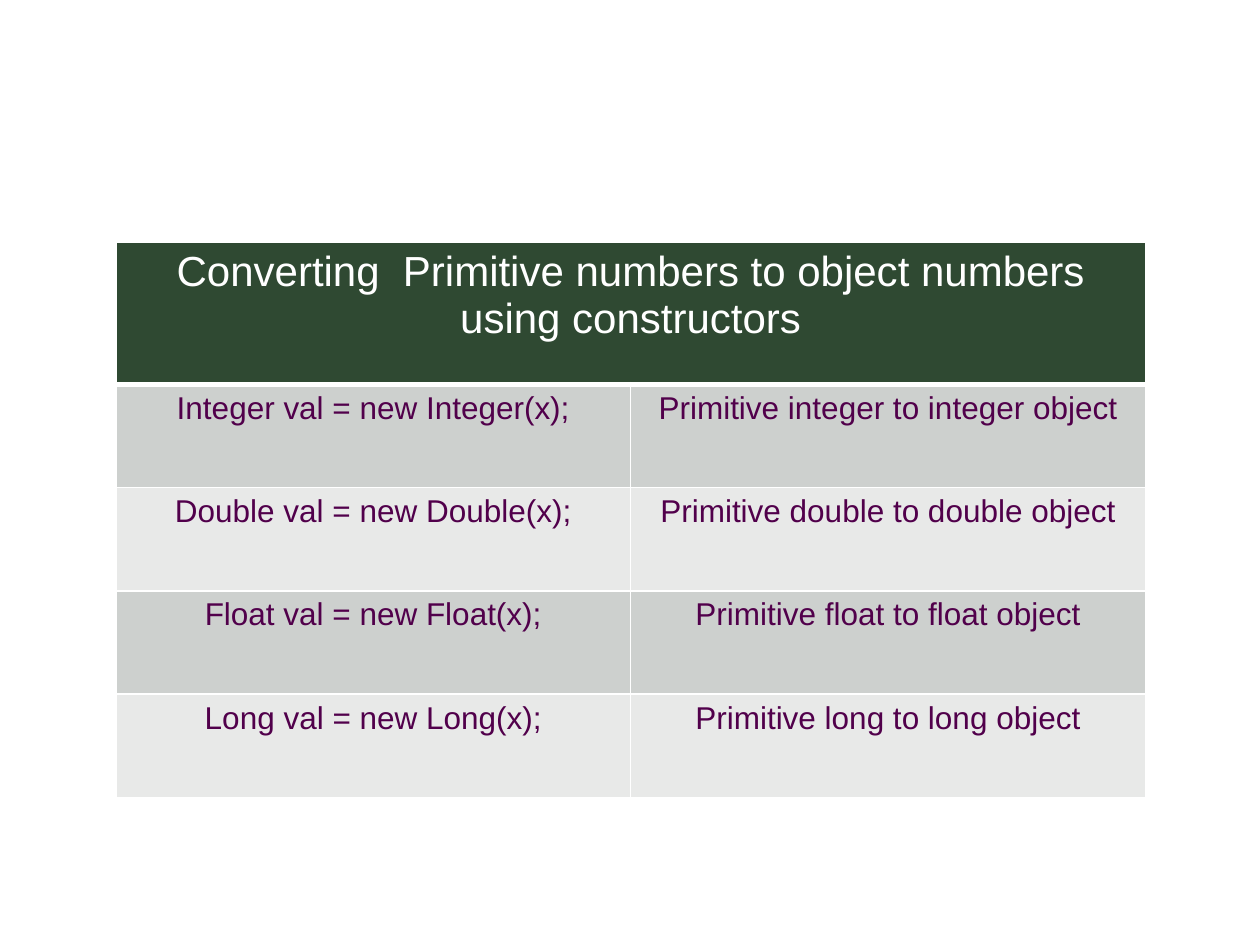
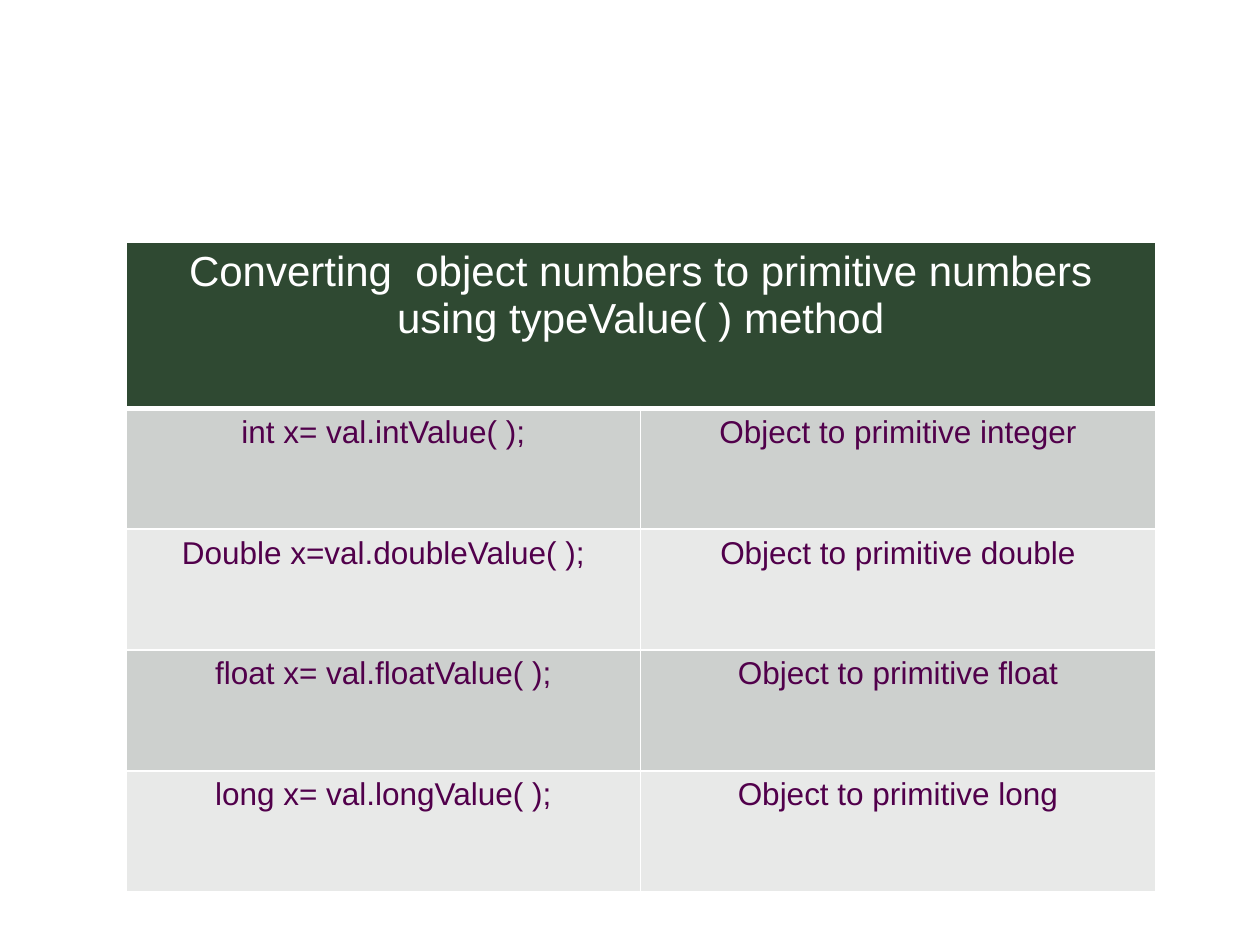
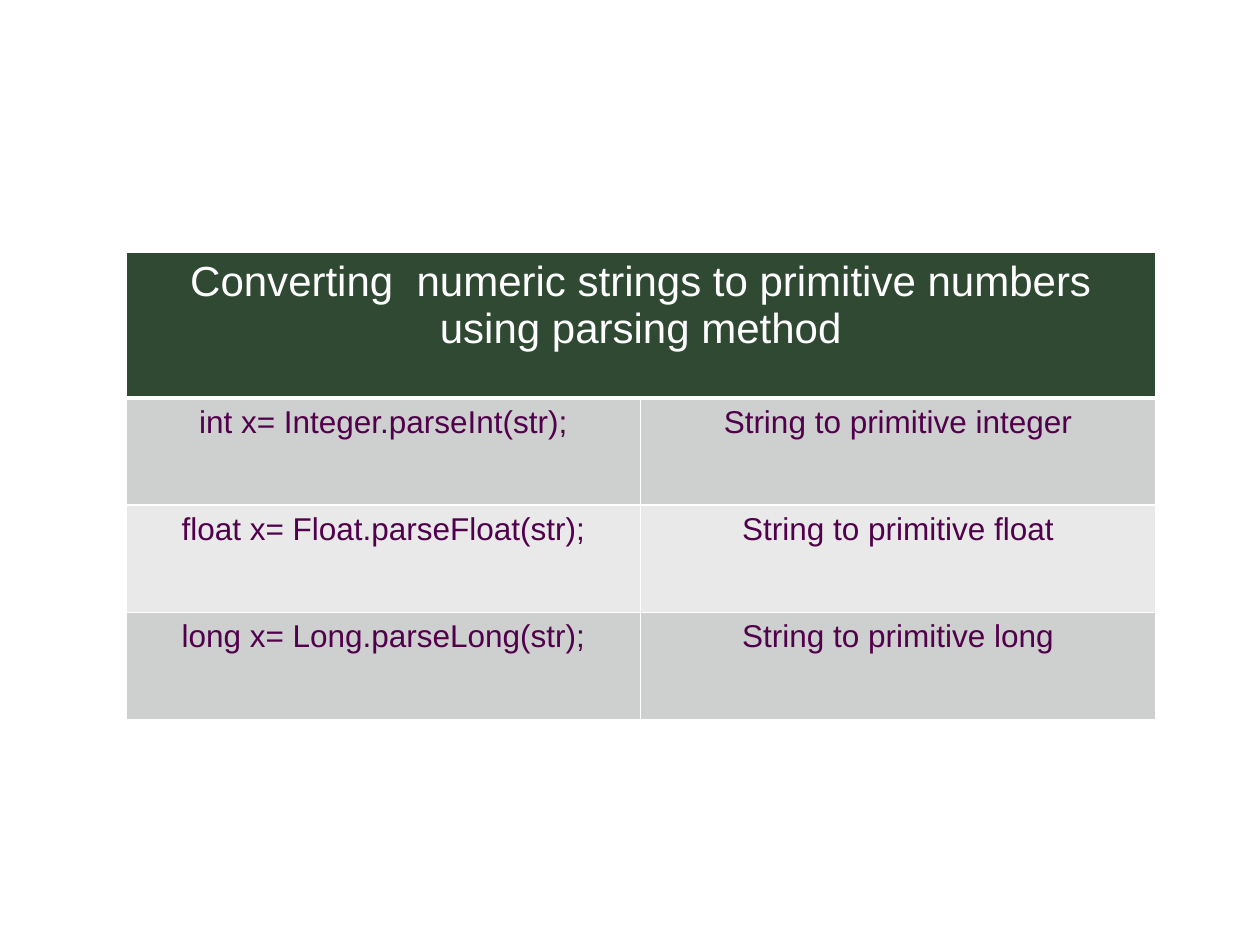
"""Builds three slides of tables on converting numbers and strings."""
import dataclasses
import typing

import pptx
import pptx.dml.color
import pptx.enum.text
import pptx.oxml.ns
import pptx.presentation
import pptx.table
import pptx.util
from lxml import etree

Inches = pptx.util.Inches
RGBColor = pptx.dml.color.RGBColor

FONT = "Arial"
WHITE = RGBColor(0xFF, 0xFF, 0xFF)
GREEN = RGBColor(0x2F, 0x49, 0x32)
PLUM = RGBColor(0x51, 0x00, 0x4B)
BANDS = (RGBColor(0xCD, 0xD0, 0xCE), RGBColor(0xE8, 0xE9, 0xE8))
WIDTH = Inches(8.17)


@dataclasses.dataclass(frozen=True)
class Grid:
    left: float
    top: float
    head_height: float
    row_height: float
    head: str
    rows: tuple[tuple[str, str], ...]


GRIDS = (
    Grid(0.92, 1.92, 1.13, 0.82,
         "Converting  Primitive numbers to object numbers using constructors",
         (("Integer val = new Integer(x);", "Primitive integer to integer object"),
          ("Double val = new Double(x);", "Primitive double to double object"),
          ("Float val = new Float(x);", "Primitive float to float object"),
          ("Long val = new Long(x);", "Primitive long to long object"))),
    Grid(1, 1.92, 1.32, 0.96,
         "Converting  object numbers to primitive numbers using typeValue( ) method",
         (("int x= val.intValue( );", "Object to primitive integer"),
          ("Double x=val.doubleValue( );", "Object to primitive double"),
          ("float x= val.floatValue( );", "Object to primitive float"),
          ("long x= val.longValue( );", "Object to primitive long"))),
    Grid(1, 2, 1.16, 0.85,
         "Converting  numeric strings to primitive numbers using parsing method",
         (("int x= Integer.parseInt(str);", "String to primitive integer"),
          ("float x= Float.parseFloat(str);", "String to primitive float"),
          ("long x= Long.parseLong(str);", "String to primitive long"))),
)


def write(frame: typing.Any, text: str, *, size: float, color: RGBColor) -> None:
    """Put centred text with its format in a text frame."""
    line = frame.paragraphs[0]
    line.alignment = pptx.enum.text.PP_ALIGN.CENTER
    run = line.add_run()
    run.text = text
    font = run.font
    font.name, font.size, font.bold = FONT, pptx.util.Pt(size), False
    font.color.rgb = color


def paint(cell: typing.Any, fill: RGBColor, base: float = 1) -> None:
    """Give a cell white borders, with a base width in points, and a fill."""
    qn = pptx.oxml.ns.qn
    props = cell._tc.get_or_add_tcPr()
    for side, width in (("L", 1), ("R", 1), ("T", 1), ("B", base)):
        edge = etree.SubElement(props, qn(f"a:ln{side}"), w=str(pptx.util.Pt(width)))
        solid = etree.SubElement(edge, qn("a:solidFill"))
        etree.SubElement(solid, qn("a:srgbClr"), val=str(WHITE))
    cell.fill.solid()
    cell.fill.fore_color.rgb = fill


def draw(deck: pptx.presentation.Presentation, grid: Grid) -> None:
    """Add a slide with one table under a merged head row."""
    slide = deck.slides.add_slide(deck.slide_layouts[6])
    count = len(grid.rows)
    height = Inches(grid.head_height + count * grid.row_height)
    table = slide.shapes.add_table(
        count + 1, 2, Inches(grid.left), Inches(grid.top), WIDTH, height).table
    for row in table.rows:
        row.height = Inches(grid.row_height)
    table.rows[0].height = Inches(grid.head_height)

    head = table.cell(0, 0)
    head.merge(table.cell(0, 1))
    for col in range(2):
        paint(table.cell(0, col), GREEN, base=3)
    write(head.text_frame, grid.head, size=24, color=WHITE)

    for index, texts in enumerate(grid.rows):
        for col, text in enumerate(texts):
            cell = table.cell(index + 1, col)
            paint(cell, BANDS[index % 2])
            write(cell.text_frame, text, size=18, color=PLUM)


def main() -> None:
    """Build and save the deck."""
    deck = pptx.Presentation()
    deck.slide_width, deck.slide_height = Inches(10), Inches(7.5)
    for grid in GRIDS:
        draw(deck, grid)
    deck.save("out.pptx")


if __name__ == "__main__":
    main()
